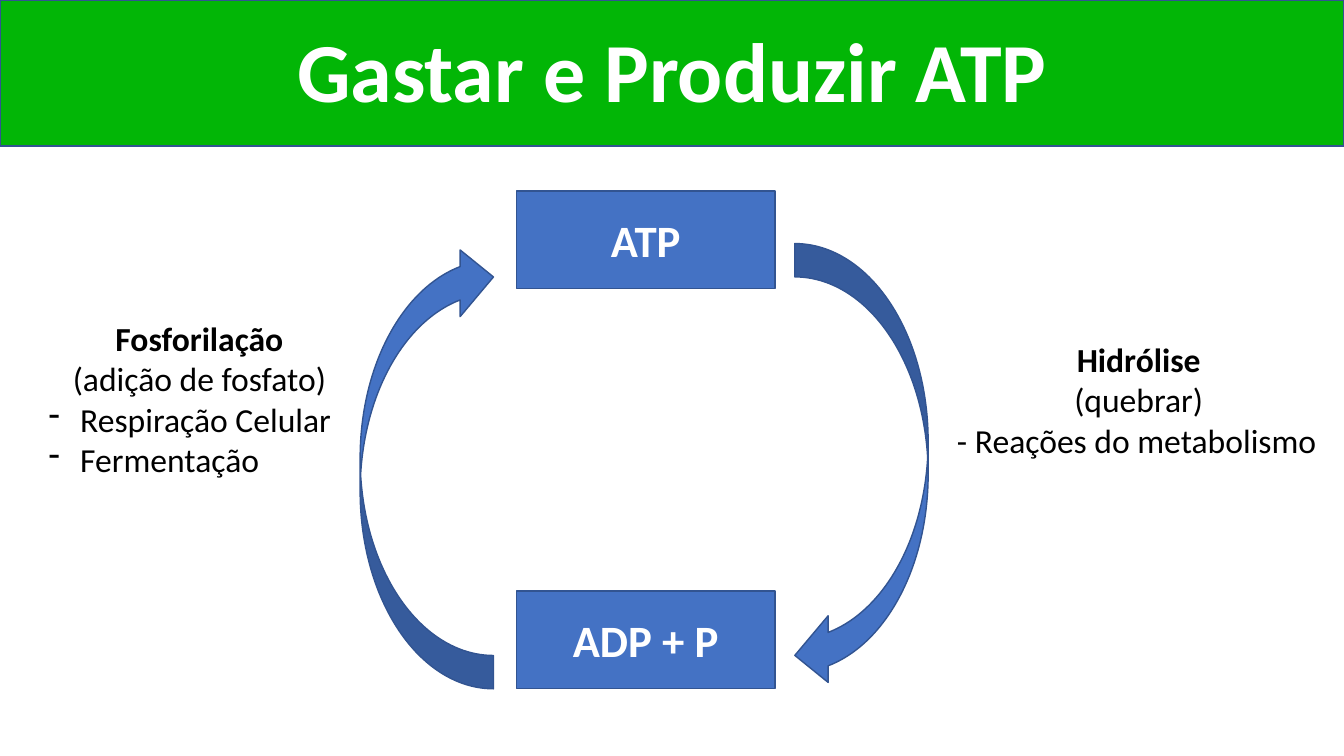
from pptx import Presentation
from pptx import util as u
from pptx.dml import color
from pptx.enum import shapes, text
from pptx.oxml import ns
from lxml import etree

PX = 9525
BLUE, EDGE, GREEN = "4472C4", "325491", "02B606"
KIND = shapes.MSO_SHAPE
MID = text.PP_ALIGN.CENTER
LEFT = text.PP_ALIGN.LEFT


def px(n):
    return u.Emu(n * PX)


def rgb(code):
    return color.RGBColor.from_string(code)


def add_form(slide, kind, box, fill):
    form = slide.shapes.add_shape(kind, *map(px, box))
    form.shadow.inherit = False
    form.fill.solid()
    form.fill.fore_color.rgb = rgb(fill)
    form.line.color.rgb = rgb(EDGE)
    form.line.width = u.Pt(1)
    return form


def style(para, size, tint, bold, align=MID):
    para.alignment = align
    font = para.font
    font.name = "Calibri"
    font.size = u.Pt(size)
    font.bold = bold
    font.color.rgb = rgb(tint)


def add_dash(para):
    props = para._p.get_or_add_pPr()
    props.set("marL", str(px(30)))
    props.set("indent", str(px(-30)))
    etree.SubElement(props, ns.qn("a:buFontTx"))
    etree.SubElement(props, ns.qn("a:buChar")).set("char", "-")


def add_banner(slide, box):
    left, top, width, height = box
    add_form(slide, KIND.RECTANGLE, box, GREEN)
    area = (left + 226, top + 2, width - 452, height)
    frame = slide.shapes.add_textbox(*map(px, area)).text_frame
    frame.word_wrap = True
    frame.vertical_anchor = text.MSO_ANCHOR.MIDDLE
    para = frame.paragraphs[0]
    para.text = "Gastar e Produzir ATP"
    para.line_spacing = 0.9
    style(para, 60, "FFFFFF", True)


def add_cycle(slide, box):
    left, top, width, height = box
    wide, tall = 246, 93
    mid = left + 149
    for name, y in (("ATP", top), ("ADP + P", top + height - tall)):
        node = add_form(slide, KIND.RECTANGLE, (mid, y, wide, tall), BLUE)
        frame = node.text_frame
        frame.vertical_anchor = text.MSO_ANCHOR.MIDDLE
        para = frame.paragraphs[0]
        para.text = name
        style(para, 32, "FFFFFF", True)
    span, drop = 127, 50
    for x, turn in ((left + width - span, 0), (left, 180)):
        area = (x, top + drop, span, height - drop)
        arrow = add_form(slide, KIND.CURVED_LEFT_ARROW, area, BLUE)
        arrow.rotation = turn


def add_note(slide, box, head, gloss, items, dashed):
    frame = slide.shapes.add_textbox(*map(px, box)).text_frame
    frame.word_wrap = False
    frame.auto_size = text.MSO_AUTO_SIZE.SHAPE_TO_FIT_TEXT
    for i, line in enumerate([head, gloss, *items]):
        para = frame.paragraphs[0] if i == 0 else frame.add_paragraph()
        para.text = line
        if dashed and i > 1:
            add_dash(para)
        style(para, 24, "000000", i == 0, LEFT if i > 1 else MID)


def main():
    deck = Presentation()
    deck.slide_width, deck.slide_height = px(1280), px(720)
    slide = deck.slides.add_slide(deck.slide_layouts[6])
    add_banner(slide, (0, 0, 1280, 139))
    add_cycle(slide, (343, 182, 541, 474))
    add_note(slide, (37, 298, 306, 165), "Fosforilação", "(adição de fosfato)",
             ["Respiração Celular", "Fermentação"], True)
    add_note(slide, (902, 318, 365, 126), "Hidrólise", "(quebrar)",
             ["- Reações do metabolismo"], False)
    deck.save("out.pptx")


if __name__ == "__main__":
    main()
